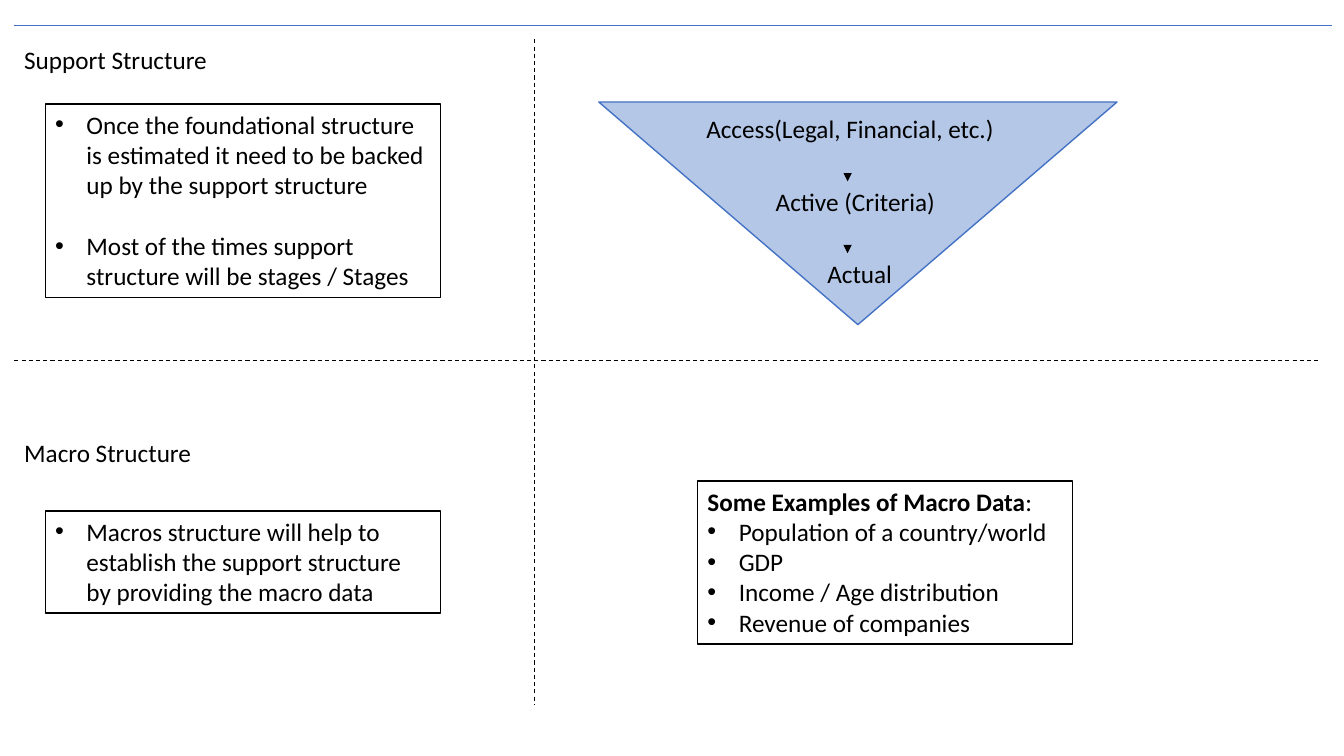
from lxml import etree
from pptx import Presentation
from pptx.dml.color import RGBColor
from pptx.enum.dml import MSO_LINE
from pptx.enum.shapes import MSO_CONNECTOR, MSO_SHAPE
from pptx.enum.text import MSO_ANCHOR, MSO_AUTO_SIZE, PP_ALIGN
from pptx.oxml.ns import qn
from pptx.util import Cm, Pt

STRAIGHT = MSO_CONNECTOR.STRAIGHT
RECTANGLE, TRIANGLE = MSO_SHAPE.RECTANGLE, MSO_SHAPE.ISOSCELES_TRIANGLE
DASH = MSO_LINE.DASH
LEFT, TOP = PP_ALIGN.LEFT, MSO_ANCHOR.TOP
GROW = MSO_AUTO_SIZE.SHAPE_TO_FIT_TEXT

COLORS = {"text": "000000", "box": "FFFFFF", "funnel": "B4C7E7", "accent": "4472C4"}
COLORS = {part: RGBColor.from_string(value) for part, value in COLORS.items()}
FONT = {"name": "Calibri", "size": Pt(18)}
FRAME = {"word_wrap": True, "auto_size": GROW, "vertical_anchor": TOP}
BULLET_INDENT = Cm(0.79)

prs = Presentation()
prs.slide_width, prs.slide_height = Cm(33.87), Cm(19.05)
slide = prs.slides.add_slide(prs.slide_layouts[6])
shapes = slide.shapes


def write(holder, paragraphs, gap=0):
    """Fill a frame with (text, bold, bulleted) paragraphs; gap separates them."""
    frame = holder.text_frame
    for key, value in FRAME.items():
        setattr(frame, key, value)
    for index, (text, bold, bulleted) in enumerate(paragraphs):
        paragraph = frame.paragraphs[0] if index == 0 else frame.add_paragraph()
        paragraph.alignment = LEFT
        if index:
            paragraph.space_before = Pt(gap)
        if bulleted:
            props = paragraph._p.get_or_add_pPr()
            props.set("marL", str(BULLET_INDENT))
            props.set("indent", str(-BULLET_INDENT))
            etree.SubElement(props, qn("a:buFont")).set("typeface", "Arial")
            etree.SubElement(props, qn("a:buChar")).set("char", "•")
        # A bold heading ends in a regular colon
        for part, weight in [(text, bold)] + ([(":", False)] if bold else []):
            run = paragraph.add_run()
            run.text = part
            run.font.bold = weight
            run.font.color.rgb = COLORS["text"]
            for key, value in FONT.items():
                setattr(run.font, key, value)


def draw_line(x1, y1, x2, y2, color, width):
    line = shapes.add_connector(STRAIGHT, Cm(x1), Cm(y1), Cm(x2), Cm(y2))
    line.line.color.rgb = COLORS[color]
    line.line.width = Pt(width)
    etree.SubElement(line._element.spPr, qn("a:effectLst"))
    return line


# Funnel
funnel = shapes.add_shape(TRIANGLE, Cm(15.09), Cm(2.57), Cm(13.06), Cm(5.61))
funnel.rotation = 180
funnel.shadow.inherit = False
funnel.fill.solid()
funnel.fill.fore_color.rgb = COLORS["funnel"]
funnel.line.color.rgb = COLORS["accent"]
funnel.line.width = Pt(1)

# Section headings and funnel stages
labels = [
    ("Support Structure", 0.36, 0.99, 30.48),
    ("Macro Structure", 0.36, 10.9, 30.48),
    ("Access(Legal, Financial, etc.)", 17.55, 2.72, 8.15),
    ("Active (Criteria)", 19.3, 4.57, 6.68),
    ("Actual", 20.6, 6.38, 6.68),
]
for text, left, top, width in labels:
    label = shapes.add_textbox(Cm(left), Cm(top), Cm(width), Cm(1.02))
    write(label, [(text, False, False)])

# Arrows between the stages
for stage_top in (4.57, 6.38):
    arrow = draw_line(21.36, stage_top - 0.18, 21.36, stage_top, "text", 1.5)
    etree.SubElement(arrow.line._get_or_add_ln(), qn("a:tailEnd")).set("type", "triangle")

# Boxed notes: position, gap between paragraphs, heading, bullets
notes = [
    ((1.14, 2.62, 9.96, 4.88), 22, None,
     ["Once the foundational structure is estimated it need to be backed up by the support structure",
      "Most of the times support structure will be stages / Stages"]),
    ((1.14, 12.88, 9.96, 2.57), 0, None,
     ["Macros structure will help to establish the support structure by providing the macro data"]),
    ((17.58, 12.12, 9.45, 4.11), 0, "Some Examples of Macro Data",
     ["Population of a country/world", "GDP", "Income / Age distribution", "Revenue of companies"]),
]
for place, gap, heading, bullets in notes:
    note = shapes.add_shape(RECTANGLE, *[Cm(length) for length in place])
    note.shadow.inherit = False
    note.fill.solid()
    note.fill.fore_color.rgb = COLORS["box"]
    note.line.color.rgb = COLORS["text"]
    note.line.width = Pt(1)
    paragraphs = [(heading, True, False)] if heading else []
    write(note, paragraphs + [(bullet, False, True) for bullet in bullets], gap)

# Top rule and dashed dividers
draw_line(0.36, 0.64, 33.58, 0.64, "accent", 0.5)
for ends in [(0.36, 9.09, 33.27, 9.09), (13.46, 0.99, 13.46, 17.75)]:
    draw_line(*ends, "text", 0.75).line.dash_style = DASH

prs.save("out.pptx")
